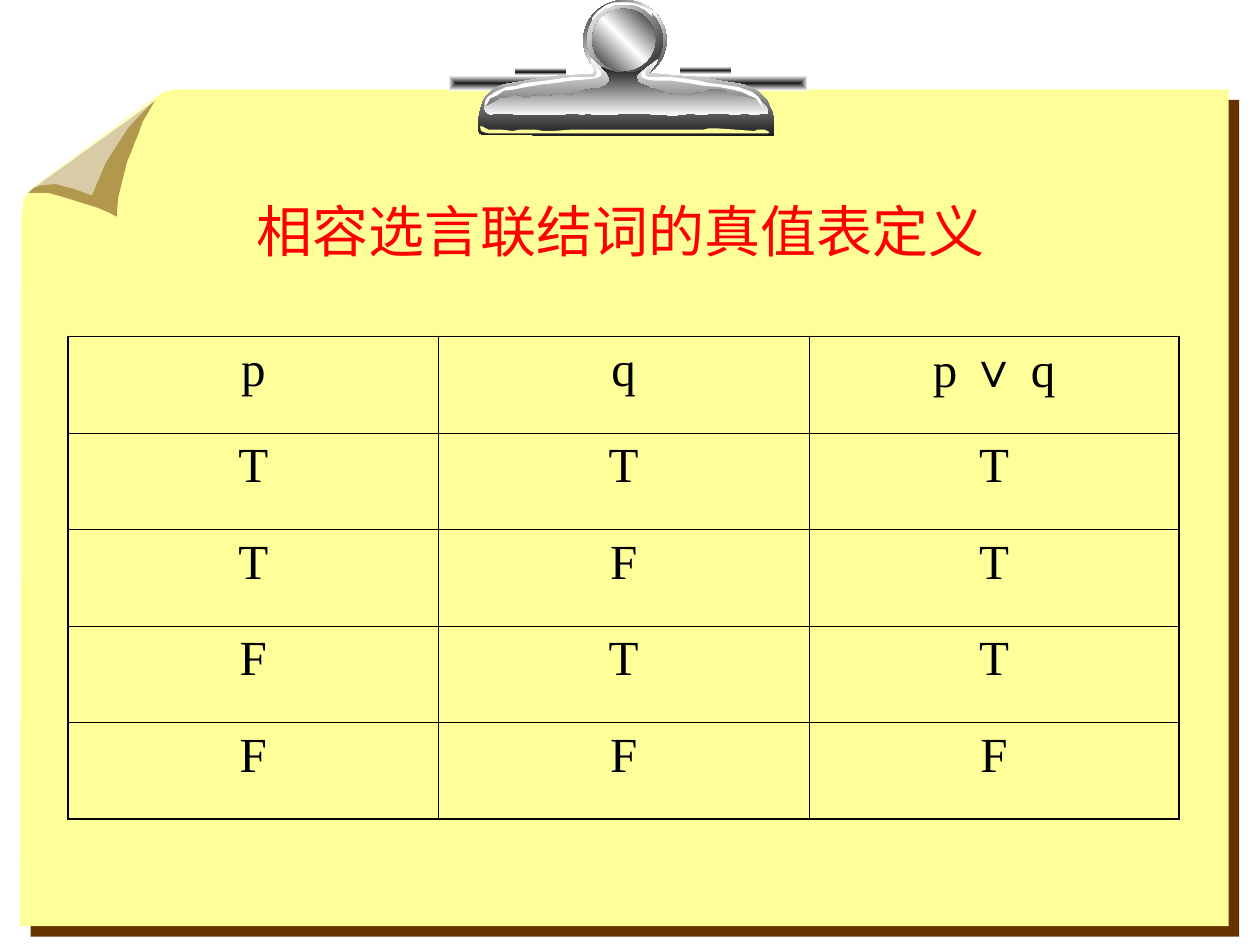
from pptx import Presentation, util as u
from pptx.dml.color import RGBColor
from pptx.enum import shapes, text
from pptx.oxml import parse_xml
from pptx.oxml.ns import nsdecls, qn

DARK, WHITE, PAPER, BROWN = "1C1C1C", "FFFFFF", "FFFF99", "663300"


def paint(shape, *colours, angle=None, alpha=100):
    shape.shadow.inherit = False
    shape.line.fill.background()
    properties = shape._element.spPr
    if len(colours) == 1:
        shape.fill.solid()
        shape.fill.fore_color.rgb = RGBColor.from_string(colours[0])
        if alpha < 100:
            colour = properties.find(qn("a:solidFill"))[0]
            colour.append(parse_xml(f'<a:alpha {nsdecls("a")} val="{alpha * 1000}"/>'))
        return
    step = 100000 // (len(colours) - 1)
    stops = "".join(
        f'<a:gs pos="{i * step}"><a:srgbClr val="{colour}"/></a:gs>'
        for i, colour in enumerate(colours)
    )
    if angle is None:
        course = ('<a:path path="rect"><a:fillToRect l="50000" t="50000" '
                  'r="50000" b="50000"/></a:path>')
    else:
        course = f'<a:lin ang="{angle * 60000}" scaled="0"/>'
    shape.fill.gradient()
    old = properties.find(qn("a:gradFill"))
    properties.replace(old, parse_xml(
        f'<a:gradFill {nsdecls("a")}><a:gsLst>{stops}</a:gsLst>{course}</a:gradFill>'))


def outline(points, *colours, **options):
    corners = [tuple(map(int, pair.split(","))) for pair in points.split()]
    builder = page.shapes.build_freeform(*corners[0], scale=u.Inches(0.01))
    builder.add_line_segments(corners[1:], close=True)
    shape = builder.convert_to_shape()
    paint(shape, *colours, **options)
    return shape


deck = Presentation()
deck.slide_width, deck.slide_height = u.Inches(10), u.Inches(7.5)
page = deck.slides.add_slide(deck.slide_layouts[5])

sheet = outline(
    "135,72 139,71 975,71 975,735 16,735 17,171 18,165 18,161 20,156 22,153 "
    "25,150 27,148 119,80 125,76 130,73", PAPER)
sheet._element.spPr.find(qn("a:effectLst")).append(parse_xml(
    f'<a:outerShdw {nsdecls("a")} dist="{u.Pt(8.5)}" dir="2700000" algn="ctr" '
    f'rotWithShape="0"><a:srgbClr val="{BROWN}"/></a:outerShdw>'))

outline(
    "49,156 78,165 87,169 93,172 93,166 94,156 96,148 99,136 101,128 104,121 "
    "107,113 110,106 113,97 123,80 27,149 22,153 38,153", BROWN, alpha=50)
outline(
    "21,156 23,151 31,145 128,74 102,101 84,129 73,155 59,150 44,146 34,147 26,149",
    WHITE, alpha=50)

RECTANGLE, OVAL = shapes.MSO_SHAPE.RECTANGLE, shapes.MSO_SHAPE.OVAL
for kind, left, top, width, height, colours, angle in [
    (RECTANGLE, 3.56, 0.6, 2.85, 0.12, (DARK, WHITE), None),
    (RECTANGLE, 4.09, 0.54, 0.4, 0.06, (WHITE, DARK, WHITE), 90),
    (RECTANGLE, 5.4, 0.53, 0.4, 0.06, (WHITE, DARK, WHITE), 90),
    (OVAL, 4.63, 0, 0.66, 0.64, (DARK, WHITE, DARK), 225),
    (OVAL, 4.66, 0.02, 0.6, 0.6, (DARK, WHITE), 225),
    (OVAL, 4.7, 0.07, 0.5, 0.49, (DARK, WHITE, DARK), 135),
]:
    part = page.shapes.add_shape(
        kind, u.Inches(left), u.Inches(top), u.Inches(width), u.Inches(height))
    paint(part, *colours, angle=angle)

knob_shine = outline(
    "518,13 517,10 514,7 510,5 505,3 499,2 487,2 481,4 477,7 474,9 471,13 470,14 "
    "470,16 473,13 475,11 480,7 484,6 488,4 502,4 506,5 512,8 514,10", WHITE)
part._element.addprevious(knob_shine._element)

outline(
    "381,106 384,107 614,108 614,95 613,89 611,85 609,80 601,72 590,67 577,65 "
    "565,63 552,61 536,60 515,58 521,50 522,47 517,51 514,53 511,56 508,57 503,59 "
    "494,59 485,58 481,56 478,54 474,51 469,46 470,51 472,57 470,59 445,60 424,63 "
    "412,65 400,67 395,69 391,71 386,76 383,81 381,88 380,93 379,98 379,102",
    WHITE, DARK, angle=90)
outline(
    "384,85 385,80 387,77 393,73 402,69 410,68 416,66 425,65 433,64 440,63 447,62 "
    "455,61 472,61 474,58 473,53 477,57 477,60 473,62 466,63 453,64 440,66 430,67 "
    "418,69 408,71 400,72 394,76 389,78 387,82", WHITE)
outline(
    "382,100 381,101 382,104 384,105 388,106 609,106 611,105 607,103 601,103 "
    "599,104 570,102 562,102 558,103 452,103 440,104 431,104 426,103 412,103 "
    "407,104 399,103 388,103", PAPER)
outline(
    "401,78 397,78 393,81 391,82 387,84 385,84 384,86 386,89 389,91 393,90 401,90 "
    "414,91 440,91 457,90 462,91 466,90 472,91 489,91 492,90 512,90 521,91 528,91 "
    "534,92 539,91 550,90 553,91 559,91 564,90 577,90 580,91 584,91 591,90 598,91 "
    "607,90 610,90 609,86 607,83 604,80 600,78 598,79 597,78 585,76 578,74 571,71 "
    "563,71 559,73 553,74 548,76 541,76 536,75 528,74 521,71 516,70 513,68 509,67 "
    "506,65 505,60 509,56 503,58 496,57 491,58 484,56 477,53 482,58 484,62 484,65 "
    "481,68 476,70 471,70 467,71 462,72 456,74 452,76 447,74 441,74 437,77 434,76 "
    "429,77 424,76 419,78 416,78 411,76 409,75 405,77", DARK, WHITE, angle=90)
outline(
    "606,86 604,80 602,77 597,73 586,69 579,68 573,67 563,66 555,64 548,63 540,62 "
    "532,61 514,61 512,59 513,54 509,58 509,61 513,63 520,64 533,64 547,66 558,68 "
    "571,69 581,71 589,73 595,76 600,78 603,82", WHITE)

title = page.shapes.title
title.left, title.top = u.Inches(0.51), u.Inches(1.39)
title.width, title.height = u.Inches(8.83), u.Inches(0.87)
title.text_frame.text = "相容选言联结词的真值表定义"
title.text_frame.vertical_anchor = text.MSO_ANCHOR.MIDDLE
para = title.text_frame.paragraphs[0]
para.alignment = text.PP_ALIGN.CENTER
font = para.runs[0].font
font.name, font.size = "Times New Roman", u.Pt(32)
font.color.rgb = RGBColor.from_string("FF0000")
page.shapes._spTree.append(title._element)

rows = ["p", "q", "p ∨ q"], "TTT", "TFT", "FTT", "FFF"
table = page.shapes.add_table(
    5, 3, u.Inches(0.54), u.Inches(2.67), u.Inches(8.82), u.Inches(3.83)).table
table.first_row = table.horz_banding = False
for i, row in enumerate(rows):
    for j, value in enumerate(row):
        cell = table.cell(i, j)
        para = cell.text_frame.paragraphs[0]
        para.alignment = text.PP_ALIGN.CENTER
        for piece in filter(None, value.partition("∨")):
            span = para.add_run()
            span.text = piece
            span.font.name = "Arial" if piece == "∨" else "Times New Roman"
            span.font.size = u.Pt(28)
            span.font.color.rgb = RGBColor.from_string("000000")
        borders = cell._tc.get_or_add_tcPr()
        for side, outer in ("L", j == 0), ("R", j == 2), ("T", i == 0), ("B", i == 4):
            borders.append(parse_xml(
                f'<a:ln{side} {nsdecls("a")} w="{u.Pt(1.08 if outer else 0.45)}">'
                f'<a:solidFill><a:srgbClr val="000000"/></a:solidFill></a:ln{side}>'))
        cell.fill.background()

deck.save("out.pptx")
